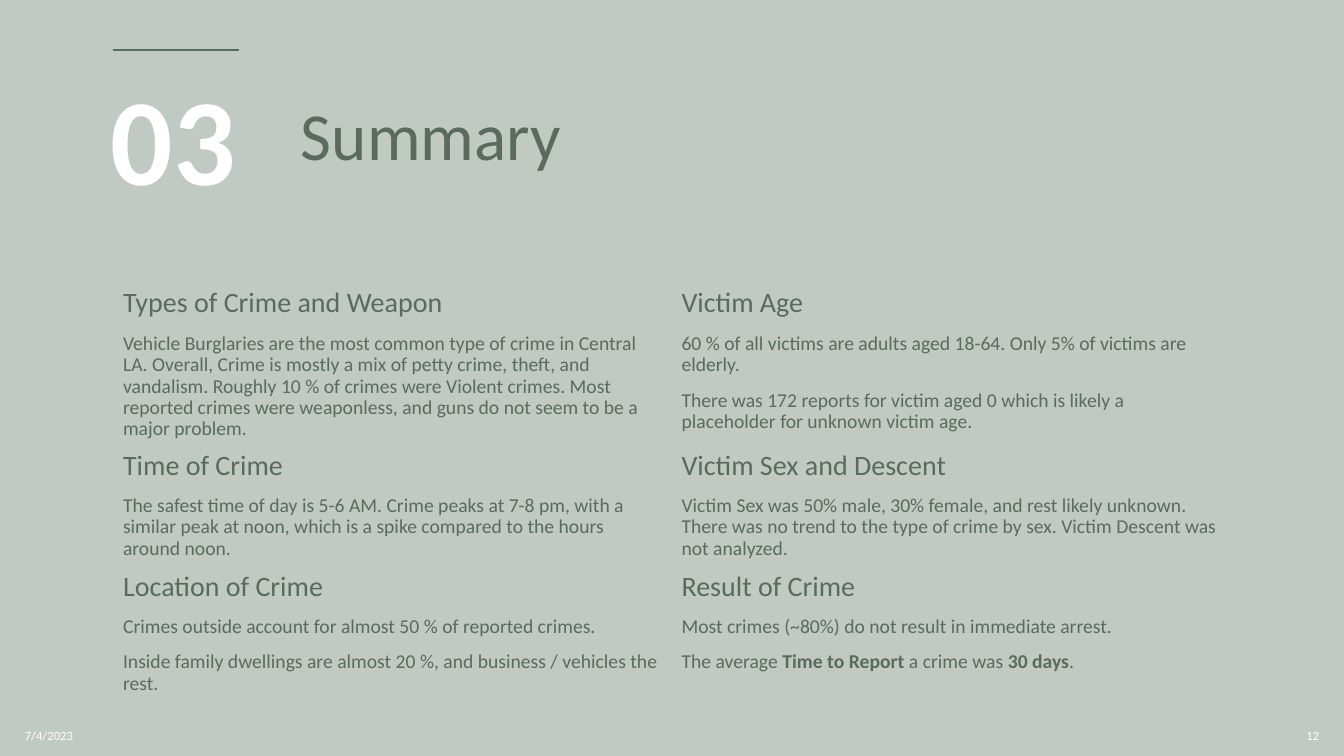
"""Build the crime report's summary slide."""
from pptx import Presentation, util as u
from pptx.dml.color import RGBColor
from pptx.enum import shapes, text
from pptx.oxml.ns import qn
from lxml import etree

PX = 12192000 / 1344
SAGE = RGBColor(0xC0, 0xC9, 0xC2)
GREEN = RGBColor(0x5B, 0x6A, 0x5E)
WHITE = RGBColor(0xFF, 0xFF, 0xFF)
NO_STYLE = "{2D5ABB26-0587-4C30-8999-92F81FD0307C}"


def px(*lengths):
    return [round(length * PX) for length in lengths]


def write(paragraph, words, size, color, bold=False, spacing=0.9, before=0):
    for i, part in enumerate(words.split("**")):
        run = paragraph.add_run()
        run.text = part
        if i % 2:
            run.font.bold = True
    font = paragraph.font
    font.name, font.size, font.bold = "Calibri", u.Pt(size), bold
    font.color.rgb = color
    paragraph.line_spacing = spacing
    paragraph.space_before = u.Pt(before)


deck = Presentation()
deck.slide_width, deck.slide_height = px(1344, 756)
slide = deck.slides.add_slide(deck.slide_layouts[6])
slide.background.fill.solid()
slide.background.fill.fore_color.rgb = SAGE

accent = slide.shapes.add_connector(shapes.MSO_CONNECTOR.STRAIGHT, *px(113, 50, 239, 50))
accent.line.color.rgb = GREEN
accent.line.width = u.Pt(1.25)
etree.SubElement(accent._element.spPr, qn("a:effectLst"))

topics = [
    [
        ["Types of Crime and Weapon",
         "Vehicle Burglaries are the most common type of crime in Central LA. "
         "Overall, Crime is mostly a mix of petty crime, theft, and vandalism. "
         "Roughly 10 % of crimes were Violent crimes. Most reported crimes were "
         "weaponless, and guns do not seem to be a major problem."],
        ["Victim Age",
         "60 % of all victims are adults aged 18-64. Only 5% of victims are elderly.",
         "There was 172 reports for victim aged 0 which is likely a placeholder "
         "for unknown victim age."],
    ],
    [
        ["Time of Crime",
         "The safest time of day is 5-6 AM. Crime peaks at 7-8 pm, with a similar "
         "peak at noon, which is a spike compared to the hours around noon."],
        ["Victim Sex and Descent",
         "Victim Sex was 50% male, 30% female, and rest likely unknown. There was "
         "no trend to the type of crime by sex. Victim Descent was not analyzed."],
    ],
    [
        ["Location of Crime",
         "Crimes outside account for almost 50 % of reported crimes.",
         "Inside family dwellings are almost 20 %, and business / vehicles the rest."],
        ["Result of Crime",
         "Most crimes (~80%) do not result in immediate arrest.",
         "The average **Time to Report** a crime was **30 days**."],
    ],
]
findings = slide.shapes.add_table(3, 2, *px(113, 283, 1117, 363)).table
findings.first_row = findings.horz_banding = False
findings._tbl.tblPr.find(qn("a:tableStyleId")).text = NO_STYLE
for r, row in enumerate(topics):
    for c, lines in enumerate(row):
        cell = findings.cell(r, c)
        cell.fill.background()
        for i, line in enumerate(lines):
            frame = cell.text_frame
            paragraph = frame.add_paragraph() if i else frame.paragraphs[0]
            write(paragraph, line, 14 if i else 20, GREEN, before=10)

MIDDLE, TOP = text.MSO_ANCHOR.MIDDLE, text.MSO_ANCHOR.TOP
LEFT, RIGHT = text.PP_ALIGN.LEFT, text.PP_ALIGN.RIGHT
labels = [
    ("Summary", (291, 63, 927, 151), 48, GREEN, False, 0.9, 0, MIDDLE, LEFT),
    ("7/4/2023", (15, 715, 302, 40), 9, WHITE, False, 1.0, 0, MIDDLE, LEFT),
    ("12", (1027, 715, 302, 40), 9, WHITE, False, 1.0, 0, MIDDLE, RIGHT),
    ("03", (101, 74, 326, 147), 88, WHITE, True, 0.9, 10, TOP, LEFT),
]
for words, place, size, color, bold, spacing, before, anchor, align in labels:
    frame = slide.shapes.add_textbox(*px(*place)).text_frame
    frame.word_wrap = True
    frame.vertical_anchor = anchor
    frame.paragraphs[0].alignment = align
    write(frame.paragraphs[0], words, size, color, bold, spacing, before)

deck.save("out.pptx")
